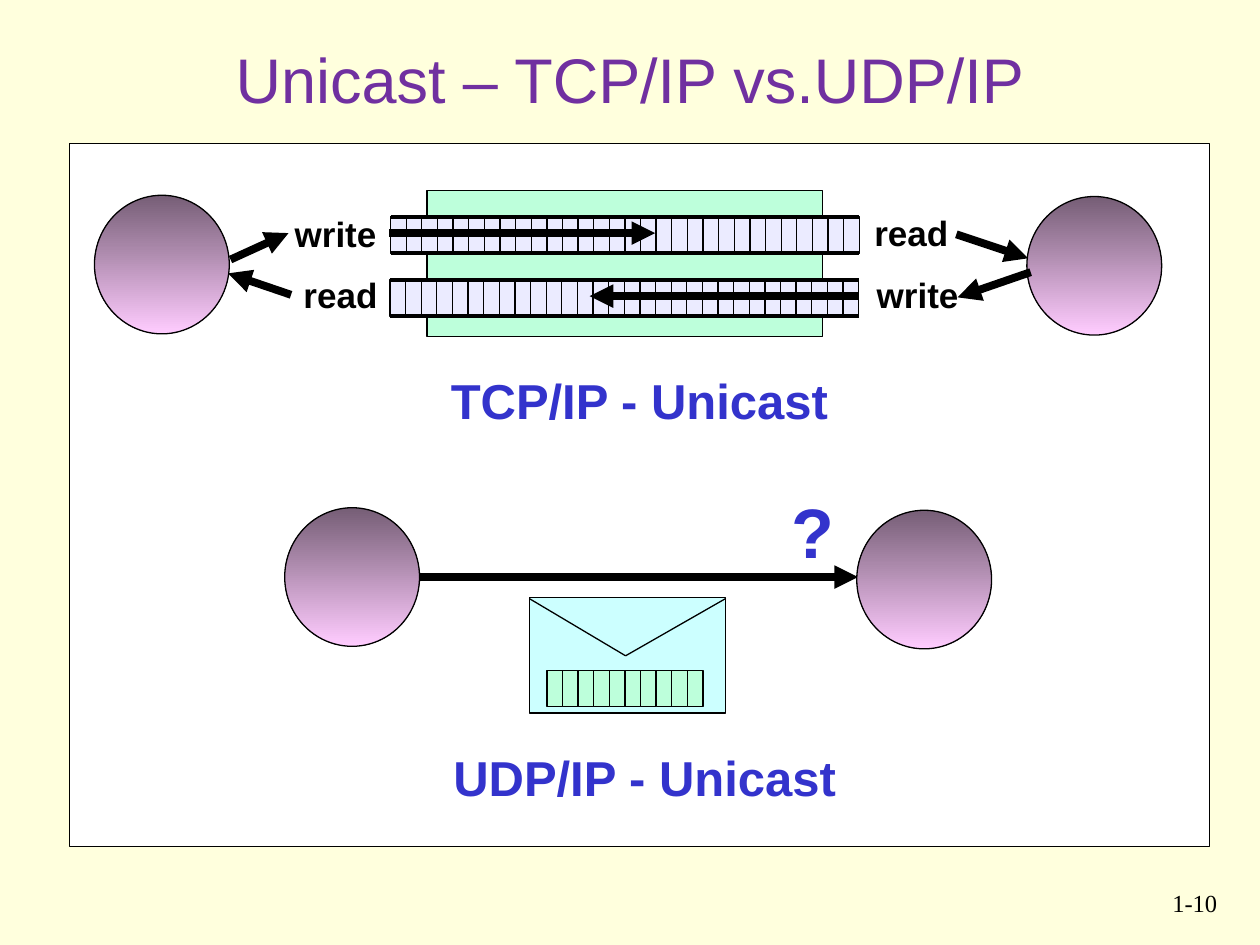
import dataclasses

import lxml.etree
import pptx
import pptx.dml.color
import pptx.enum.shapes
import pptx.enum.text
import pptx.oxml.ns
import pptx.shapes.autoshape
import pptx.shapes.shapetree
import pptx.text.text
import pptx.util

SLIDE_WIDTH = pptx.util.Inches(10)
SLIDE_HEIGHT = pptx.util.Inches(7.5)
COLUMNS = 100
ROWS = 75

BLACK = pptx.dml.color.RGBColor(0x00, 0x00, 0x00)
WHITE = pptx.dml.color.RGBColor(0xFF, 0xFF, 0xFF)
CREAM = pptx.dml.color.RGBColor(0xFF, 0xFF, 0xDD)
PURPLE = pptx.dml.color.RGBColor(0x70, 0x30, 0xA0)
BLUE = pptx.dml.color.RGBColor(0x33, 0x33, 0xCC)
MINT = pptx.dml.color.RGBColor(0xBD, 0xFF, 0xDB)
LAVENDER = pptx.dml.color.RGBColor(0xEB, 0xEB, 0xFF)
PALE_CYAN = pptx.dml.color.RGBColor(0xCC, 0xFF, 0xFF)
DARK_MAUVE = pptx.dml.color.RGBColor(0x76, 0x5E, 0x76)
PINK = pptx.dml.color.RGBColor(0xFF, 0xCC, 0xFF)

THIN, MEDIUM, THICK = 0.75, 2.25, 4.5
CELL_WIDTH, CELL_HEIGHT = 1.24, 2.9
NODE_WIDTH, NODE_HEIGHT = 10.7, 11

RECTANGLE = pptx.enum.shapes.MSO_SHAPE.RECTANGLE
OVAL = pptx.enum.shapes.MSO_SHAPE.OVAL
ShapeTree = pptx.shapes.shapetree.GroupShapes | pptx.shapes.shapetree.SlideShapes


@dataclasses.dataclass(frozen=True)
class Box:
    """An area in grid columns and rows."""
    column: float
    row: float
    width: float
    height: float

    def lengths(self) -> tuple[int, int, int, int]:
        return (across(self.column), down(self.row),
                across(self.width), down(self.height))


@dataclasses.dataclass(frozen=True)
class Line:
    start: tuple[float, float]
    end: tuple[float, float]
    weight: float = THICK
    arrow: bool = True


@dataclasses.dataclass(frozen=True)
class Label:
    text: str
    box: Box
    size: float = 20
    color: pptx.dml.color.RGBColor = BLACK
    bold: bool = True
    font: str = "Arial"
    align: pptx.enum.text.PP_ALIGN = pptx.enum.text.PP_ALIGN.LEFT


@dataclasses.dataclass(frozen=True)
class CellRow:
    column: float
    row: float
    count: int
    color: pptx.dml.color.RGBColor


FRAME = Box(5.5, 11.4, 90.5, 55.8)
TITLE = Label("Unicast – TCP/IP vs.UDP/IP", Box(0, 0, 100, 12.5), 36, PURPLE,
              False, align=pptx.enum.text.PP_ALIGN.CENTER)
PAGE_NUMBER = Label("1-10", Box(90.8, 70, 6.8, 5), 14, BLACK, False,
                    "Times New Roman", pptx.enum.text.PP_ALIGN.RIGHT)

CHANNEL = Box(33.9, 15.1, 31.4, 11.6)
STREAMS = [CellRow(31, 17.2, 30, LAVENDER), CellRow(30.95, 22.2, 30, LAVENDER)]
TCP_NODES = [(7.5, 15.5), (81.5, 15.6)]
TCP_ARROWS = [
    Line((30.9, 18.5), (52, 18.5)),
    Line((68.1, 23.5), (46.8, 23.5)),
    Line((18.3, 20.6), (22.9, 18.5)),
    Line((23.1, 23.4), (18.1, 21.7)),
    Line((75.9, 18.6), (81.6, 20.5)),
    Line((81.8, 21.6), (76, 23.6)),
]
TCP_LABELS = [
    Label("write", Box(22.4, 16.4, 8.5, 4.4)),
    Label("read", Box(23.1, 21.2, 7.9, 4.4)),
    Label("read", Box(68.4, 16.3, 7.9, 4.4)),
    Label("write", Box(68.6, 21.2, 8.5, 4.4)),
    Label("TCP/IP - Unicast", Box(34.8, 28.9, 32, 5.7), 28, BLUE),
]

ENVELOPE = Box(42, 47.4, 15.6, 9.2)
ENVELOPE_FOLDS = [
    Line((42, 47.5), (49.65, 52.05), THIN, False),
    Line((49.65, 52.05), (57.6, 47.5), THIN, False),
]
PACKET = CellRow(43.4, 53.2, 10, MINT)
UDP_ARROW = Line((33.3, 45.8), (68.1, 45.8))
UDP_NODES = [(22.6, 40.3), (68, 40.5)]
UDP_LABELS = [
    Label("?", Box(61.8, 38.3, 5.4, 7.7), 40, BLUE),
    Label("UDP/IP - Unicast", Box(35, 58.8, 32.4, 5.7), 28, BLUE),
]


def across(columns: float) -> int:
    return round(columns * SLIDE_WIDTH / COLUMNS)


def down(rows: float) -> int:
    return round(rows * SLIDE_HEIGHT / ROWS)


def add_outlined(shapes: ShapeTree, kind: pptx.enum.shapes.MSO_SHAPE,
                 box: Box) -> pptx.shapes.autoshape.Shape:
    shape = shapes.add_shape(kind, *box.lengths())
    shape.shadow.inherit = False
    shape.line.color.rgb = BLACK
    shape.line.width = pptx.util.Pt(THIN)
    return shape


def add_rectangle(shapes: ShapeTree, box: Box, color: pptx.dml.color.RGBColor) -> None:
    shape = add_outlined(shapes, RECTANGLE, box)
    shape.fill.solid()
    shape.fill.fore_color.rgb = color


def add_node(shapes: ShapeTree, column: float, row: float) -> None:
    node = add_outlined(shapes, OVAL, Box(column, row, NODE_WIDTH, NODE_HEIGHT))
    node.fill.gradient()
    node.fill.gradient_angle = 270
    for stop, color in zip(node.fill.gradient_stops, (DARK_MAUVE, PINK)):
        stop.color.rgb = color


def add_cells(shapes: ShapeTree, cells: CellRow) -> None:
    for index in range(cells.count):
        column = cells.column + index * CELL_WIDTH
        add_rectangle(shapes, Box(column, cells.row, CELL_WIDTH, CELL_HEIGHT), cells.color)


def add_line(shapes: ShapeTree, line: Line) -> None:
    connector = shapes.add_connector(
        pptx.enum.shapes.MSO_CONNECTOR.STRAIGHT,
        across(line.start[0]), down(line.start[1]),
        across(line.end[0]), down(line.end[1]))
    connector.line.color.rgb = BLACK
    connector.line.width = pptx.util.Pt(line.weight)
    qualified = pptx.oxml.ns.qn
    properties = connector.element.spPr
    if line.arrow:
        outline = properties.find(qualified("a:ln"))
        lxml.etree.SubElement(outline, qualified("a:tailEnd"), type="triangle")
    lxml.etree.SubElement(properties, qualified("a:effectLst"))


def write_label(frame: pptx.text.text.TextFrame, label: Label) -> None:
    paragraph = frame.paragraphs[0]
    paragraph.alignment = label.align
    run = paragraph.add_run()
    run.text = label.text
    run.font.name = label.font
    run.font.size = pptx.util.Pt(label.size)
    run.font.bold = label.bold
    run.font.color.rgb = label.color


def add_label(shapes: ShapeTree, label: Label) -> None:
    frame = shapes.add_textbox(*label.box.lengths()).text_frame
    frame.word_wrap = False
    write_label(frame, label)


def draw_tcp(shapes: ShapeTree) -> None:
    add_rectangle(shapes, CHANNEL, MINT)
    for stream in STREAMS:
        add_cells(shapes, stream)
        end = stream.column + stream.count * CELL_WIDTH
        for row in (stream.row, stream.row + CELL_HEIGHT):
            add_line(shapes, Line((stream.column, row), (end, row), MEDIUM, False))
    for position in TCP_NODES:
        add_node(shapes, *position)
    for arrow in TCP_ARROWS:
        add_line(shapes, arrow)
    for label in TCP_LABELS:
        add_label(shapes, label)


def draw_udp(shapes: ShapeTree) -> None:
    add_rectangle(shapes, ENVELOPE, PALE_CYAN)
    add_cells(shapes, PACKET)
    for line in [*ENVELOPE_FOLDS, UDP_ARROW]:
        add_line(shapes, line)
    for position in UDP_NODES:
        add_node(shapes, *position)
    for label in UDP_LABELS:
        add_label(shapes, label)


def main() -> None:
    presentation = pptx.Presentation()
    presentation.slide_width, presentation.slide_height = SLIDE_WIDTH, SLIDE_HEIGHT
    slide = presentation.slides.add_slide(presentation.slide_layouts.get_by_name("Title Only"))
    slide.background.fill.solid()
    slide.background.fill.fore_color.rgb = CREAM
    title = slide.shapes.title
    title.left, title.top, title.width, title.height = TITLE.box.lengths()
    title.text_frame.vertical_anchor = pptx.enum.text.MSO_ANCHOR.MIDDLE
    write_label(title.text_frame, TITLE)
    add_label(slide.shapes, PAGE_NUMBER)
    add_rectangle(slide.shapes, FRAME, WHITE)
    for draw in (draw_tcp, draw_udp):
        draw(slide.shapes.add_group_shape().shapes)
    presentation.save("out.pptx")


if __name__ == "__main__":
    main()
